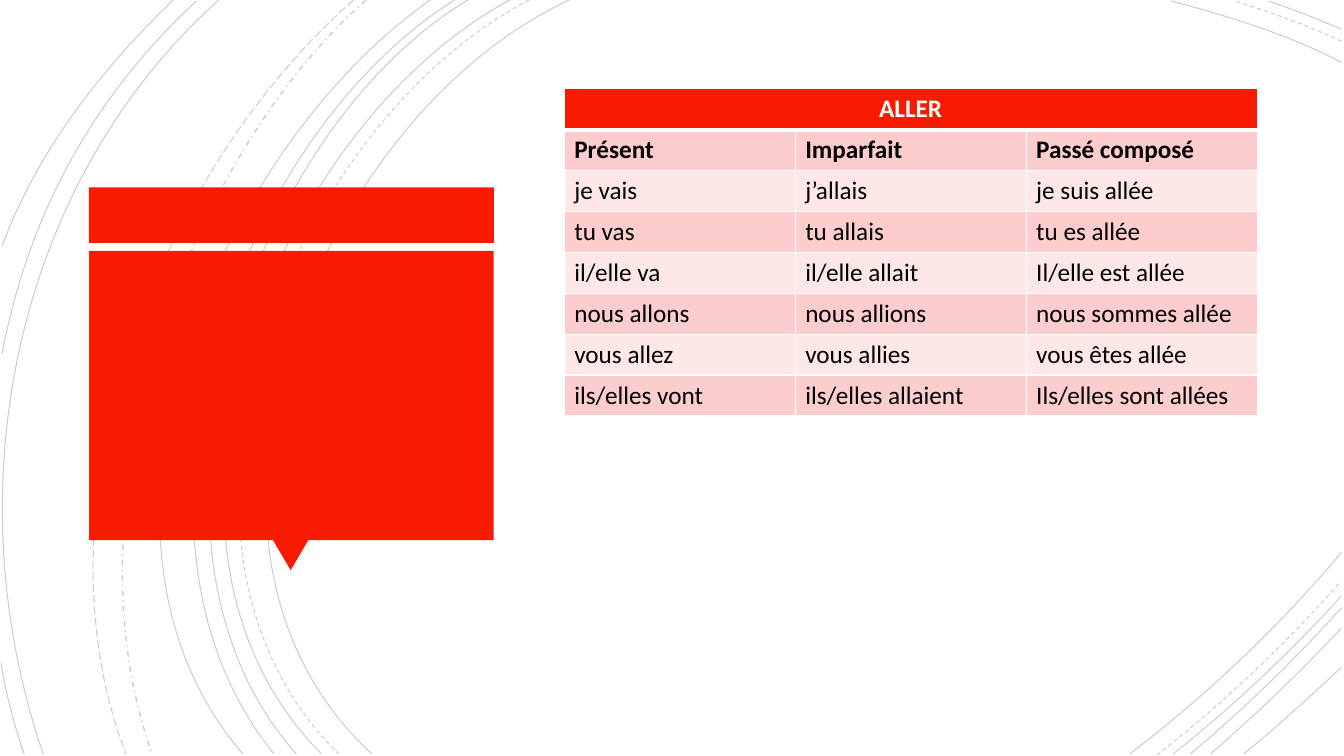
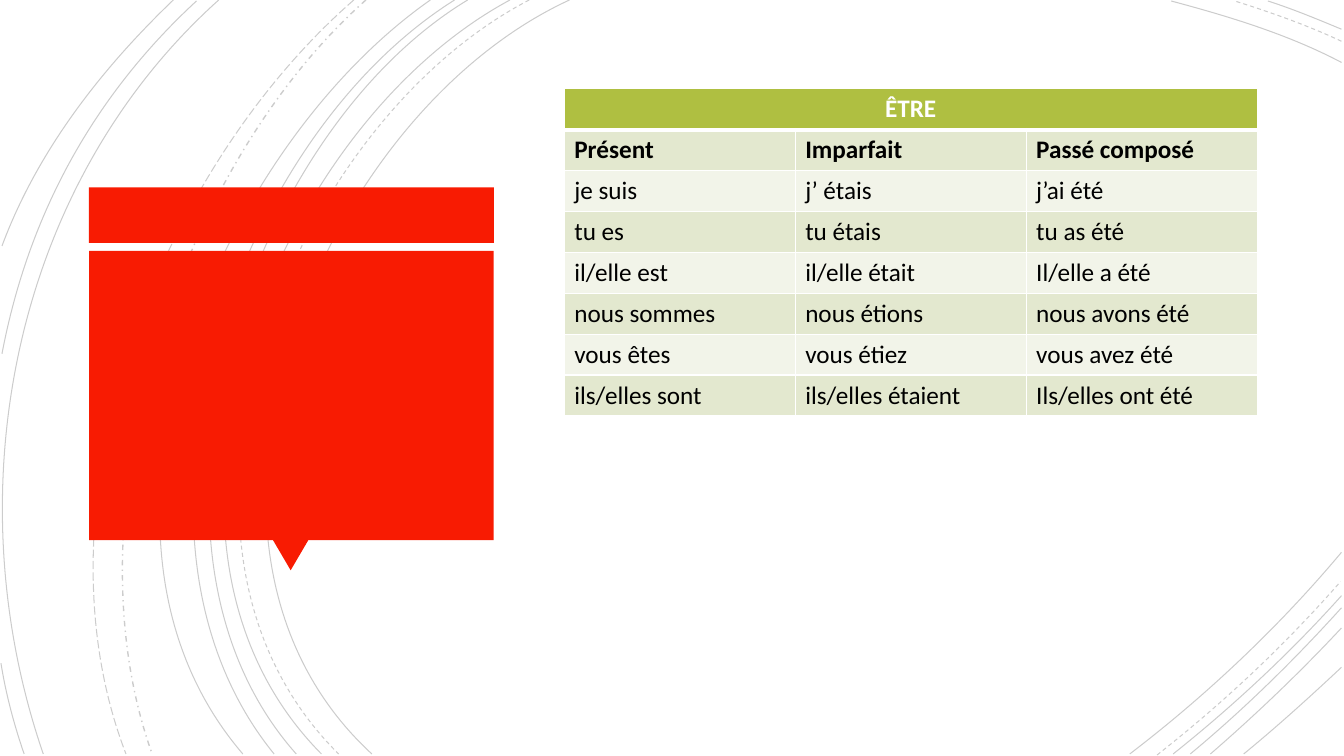
"""Build two French conjugation slides, one verb table on each."""
import dataclasses

import lxml.etree
import pptx
import pptx.dml.color
import pptx.enum.dml
import pptx.enum.shapes
import pptx.enum.text
import pptx.oxml.ns
import pptx.util

Cm = pptx.util.Cm
Pt = pptx.util.Pt
Dash = pptx.enum.dml.MSO_LINE
Preset = pptx.enum.shapes.MSO_SHAPE
Align = pptx.enum.text.PP_ALIGN
qn = pptx.oxml.ns.qn


@dataclasses.dataclass(frozen=True)
class Theme:
    """Colours, type and line sizes of the presentation."""
    font: str = "Calibri"
    text_size: int = 18
    black: str = "000000"
    white: str = "FFFFFF"
    red: str = "F81B02"
    red_bands: tuple = ("FCCDCC", "FEE8E7")
    green: str = "AFBF41"
    green_bands: tuple = ("E3E8CF", "F2F4E9")
    curve_opacity: int = 20
    curve_unit: int = Cm(2.54)
    border: float = 1
    header_border: float = 3


THEME = Theme()

CURVES = {
    (Dash.SOLID, 0.75): [
        ((5.65, 0), (3.15, 1.15), (1.43, 5.4), (3.69, 7.48)),
        ((13.31, 0.62), (12.78, 0.34), (12.18, 0.16), (11.62, 0.01)),
        ((11.21, 7.48), (11.97, 6.9), (12.69, 6.22), (13.31, 5.48)),
        ((5.06, 0), (2.7, 1.27), (1.1, 5.37), (3.19, 7.48)),
        ((13.31, 0.29), (13.07, 0.19), (12.83, 0.09), (12.58, 0.01)),
        ((11.64, 7.48), (12.23, 7.01), (12.8, 6.48), (13.31, 5.91)),
        ((4.64, 0), (2.44, 1.33), (1.1, 5.41), (2.94, 7.48)),
        ((11.81, 7.48), (12.34, 7.04), (12.84, 6.55), (13.31, 6.03)),
        ((4.51, 0), (2.31, 1.38), (0.97, 5.33), (2.72, 7.48)),
        ((12.01, 7.48), (12.46, 7.09), (12.9, 6.67), (13.31, 6.23)),
        ((4.27, 0), (2.17, 1.47), (0.53, 5.29), (2.41, 7.48)),
        ((12.34, 7.48), (12.67, 7.21), (12.99, 6.92), (13.31, 6.62)),
        ((2.17, 0), (0.11, 1.85), (-0.46, 4.9), (0.43, 7.48)),
        ((1.95, 0.01), (0.92, 0.96), (0.28, 2.14), (0.02, 3.51)),
        ((0.01, 6.58), (0.06, 6.89), (0.14, 7.19), (0.24, 7.48)),
        ((1.72, 0), (1, 0.69), (0.37, 1.5), (0.02, 2.44)),
    ],
    (Dash.DASH, 0.75): [
        ((5.25, 0), (2.85, 1.25), (1.23, 5.37), (3.36, 7.48)),
        ((13.31, 0.41), (12.97, 0.25), (12.6, 0.12), (12.25, 0.01)),
        ((11.48, 7.49), (12.13, 6.98), (12.75, 6.4), (13.3, 5.77)),
    ],
    (Dash.DASH_DOT, 1): [
        ((3.63, 0), (1.76, 1.66), (0.65, 5.09), (1.51, 7.48)),
    ],
    (Dash.LONG_DASH, 0.75): [
        ((3.51, 0), (1.57, 1.69), (0.29, 4.99), (1.25, 7.48)),
    ],
}

TENSES = ("Présent", "Imparfait", "Passé composé")

ALLER = (
    ("je vais", "j’allais", "je suis allée"),
    ("tu vas", "tu allais", "tu es allée"),
    ("il/elle va", "il/elle allait", "Il/elle est allée"),
    ("nous allons", "nous allions", "nous sommes allée"),
    ("vous allez", "vous allies", "vous êtes allée"),
    ("ils/elles vont", "ils/elles allaient", "Ils/elles sont allées"),
)

ETRE = (
    ("je suis", "j’ étais", "j’ai été"),
    ("tu es", "tu étais", "tu as été"),
    ("il/elle est", "il/elle était", "Il/elle a été"),
    ("nous sommes", "nous étions", "nous avons été"),
    ("vous êtes", "vous étiez", "vous avez été"),
    ("ils/elles sont", "ils/elles étaient", "Ils/elles ont été"),
)


def rgb(value):
    """Turn a hex string into a colour."""
    return pptx.dml.color.RGBColor.from_string(value)


def write(paragraph, text, *, color=THEME.black, bold=False, align=Align.LEFT):
    """Write one formatted run of text into a paragraph."""
    paragraph.alignment = align
    run = paragraph.add_run()
    run.text = text
    run.font.name = THEME.font
    run.font.size = Pt(THEME.text_size)
    run.font.bold = bold
    run.font.color.rgb = rgb(color)


def bend(shape):
    """Join the segments of a freeform into one cubic curve."""
    segments = list(shape.element.iter(qn("a:lnTo")))
    outline = segments[0].getparent()
    cubic = lxml.etree.SubElement(outline, qn("a:cubicBezTo"))
    for segment in segments:
        cubic.append(segment[0])
        outline.remove(segment)


class Deck:
    """Hold the style, the presentation and the current slide."""

    def __init__(self, theme):
        """Start an empty widescreen presentation."""
        self.theme = theme
        self.presentation = pptx.Presentation()
        self.presentation.slide_width = Cm(33.87)
        self.presentation.slide_height = Cm(19.05)
        self.slide = None

    def add_slide(self):
        """Add a slide with the shared curves and red callout."""
        self.slide = self.presentation.slides.add_slide(self.presentation.slide_layouts[6])
        for (dash, width), curves in CURVES.items():
            for points in curves:
                self.curve(points, dash, width)
        self.block(Preset.RECTANGLE, 2.24, 4.72, 10.21, 1.4)
        self.block(Preset.ISOSCELES_TRIANGLE, 6.88, 13.61, 0.89, 0.76, rotation=180)
        self.block(Preset.RECTANGLE, 2.25, 6.32, 10.19, 7.29)

    def curve(self, points, dash, width):
        """Draw one pale open curve."""
        unit = self.theme.curve_unit
        start, *others = [(x * unit, y * unit) for x, y in points]
        builder = self.slide.shapes.build_freeform(*start)
        builder.add_line_segments(others, close=False)
        shape = builder.convert_to_shape()
        bend(shape)
        shape.shadow.inherit = False
        shape.fill.background()
        shape.line.width = Pt(width)
        shape.line.color.rgb = rgb(self.theme.black)
        shape.line.dash_style = dash
        color = next(shape.element.iter(qn("a:srgbClr")))
        lxml.etree.SubElement(color, qn("a:alpha"), val=str(self.theme.curve_opacity * 1000))

    def block(self, preset, left, top, width, height, rotation=0):
        """Draw a solid red shape without outline."""
        shape = self.slide.shapes.add_shape(preset, Cm(left), Cm(top), Cm(width), Cm(height))
        shape.rotation = rotation
        shape.shadow.inherit = False
        shape.fill.solid()
        shape.fill.fore_color.rgb = rgb(self.theme.red)
        shape.line.fill.background()

    def borders(self, cell, top, bottom):
        """Give a cell white borders of the given widths."""
        properties = cell._tc.get_or_add_tcPr()
        side = self.theme.border
        for tag, width in (("lnL", side), ("lnR", side), ("lnT", top), ("lnB", bottom)):
            line = lxml.etree.SubElement(properties, qn("a:" + tag), w=str(Pt(width)))
            fill = lxml.etree.SubElement(line, qn("a:solidFill"))
            lxml.etree.SubElement(fill, qn("a:srgbClr"), val=self.theme.white)

    def cell(self, cell, text, fill, top, bottom, **text_format):
        """Fill, border and write one table cell."""
        self.borders(cell, top, bottom)
        cell.fill.solid()
        cell.fill.fore_color.rgb = rgb(fill)
        write(cell.text_frame.paragraphs[0], text, **text_format)

    def verb_table(self, verb, forms, header, bands):
        """Draw the conjugation table of one verb."""
        rows = (TENSES, *forms)
        row_height, column_width = 1.03, 5.82
        table = self.slide.shapes.add_table(
            len(rows) + 1, len(TENSES), Cm(14.22), Cm(2.24),
            Cm(column_width * len(TENSES)), Cm(row_height * (len(rows) + 1))).table
        for row in table.rows:
            row.height = Cm(row_height)
        thin, thick = self.theme.border, self.theme.header_border
        title = table.cell(0, 0)
        title.merge(table.cell(0, len(TENSES) - 1))
        self.cell(title, verb, header, thin, thick,
                  color=self.theme.white, bold=True, align=Align.CENTER)
        for row_index, texts in enumerate(rows):
            first = row_index == 0
            for column_index, text in enumerate(texts):
                self.cell(table.cell(row_index + 1, column_index), text,
                          bands[row_index % 2], thick if first else thin, thin, bold=first)


def main():
    """Build and save the presentation."""
    deck = Deck(THEME)
    for verb, forms, header, bands in (
            ("ALLER", ALLER, THEME.red, THEME.red_bands),
            ("ÊTRE", ETRE, THEME.green, THEME.green_bands)):
        deck.add_slide()
        deck.verb_table(verb, forms, header, bands)
    deck.presentation.save("out.pptx")


main()
